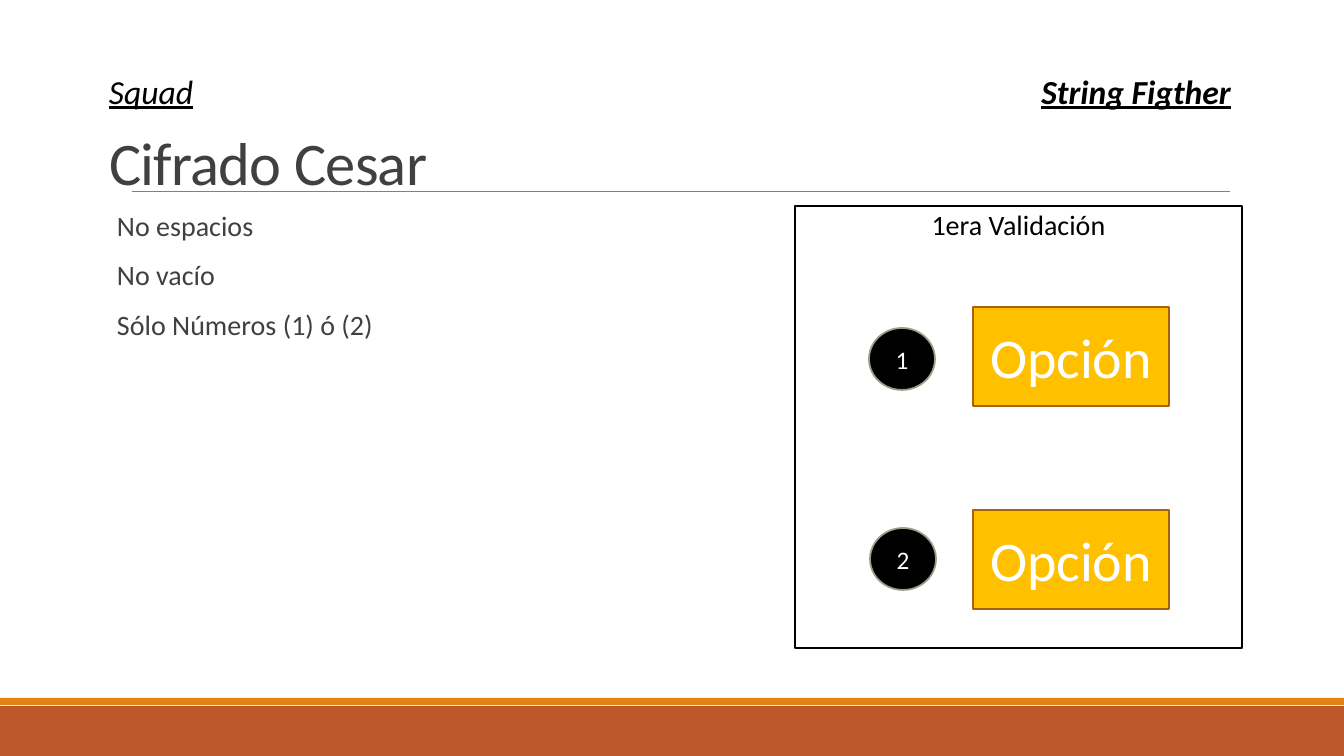
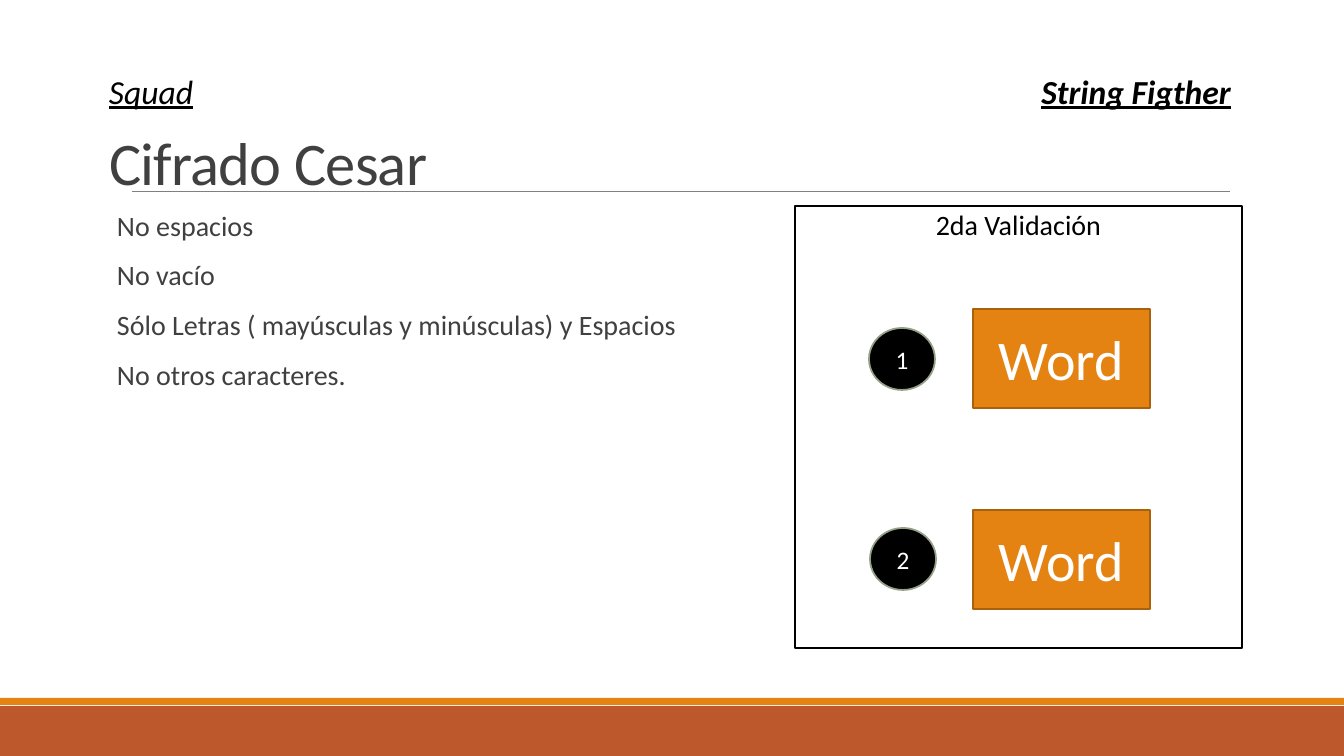
from dataclasses import dataclass

from lxml.etree import SubElement
from pptx import Presentation
from pptx.dml.color import RGBColor
from pptx.enum.shapes import MSO_CONNECTOR, MSO_SHAPE
from pptx.enum.text import MSO_ANCHOR, PP_ALIGN
from pptx.oxml.ns import qn
from pptx.util import Emu, Pt


@dataclass(frozen=True)
class Theme:
    font: str = "Calibri"
    black: str = "000000"
    white: str = "FFFFFF"
    text: str = "404040"
    rule: str = "808080"
    band: str = "BD582C"
    orange: str = "E48312"
    yellow: str = "FFC000"
    box_line: str = "A9610D"
    circle_line: str = "94A088"
    title_size: float = 43.2
    header_size: float = 24
    body_size: float = 20
    box_size: float = 40
    number_size: float = 18
    outline: float = 1.25


@dataclass(frozen=True)
class Validation:
    heading: str
    rules: tuple
    label: str
    fill: str
    width: int
    tops: tuple


THEME = Theme()
EMU_PER_PIXEL = 914400 / 100.8
SLIDE_WIDTH, SLIDE_HEIGHT = 1344, 756
CIRCLES = ((869, 328), (870, 528))
VALIDATIONS = (
    Validation(
        "1era Validación",
        ("No espacios", "No vacío", "Sólo Números (1) ó (2)"),
        "Opción", THEME.yellow, 196, (307, 510),
    ),
    Validation(
        "2da Validación",
        ("No espacios", "No vacío",
         "Sólo Letras ( mayúsculas y minúsculas) y Espacios",
         "No otros caracteres."),
        "Word", THEME.orange, 177, (309, 510),
    ),
)


def px(value):
    return Emu(round(value * EMU_PER_PIXEL))


def place(*lengths):
    return [px(length) for length in lengths]


def color(value):
    return RGBColor.from_string(value)


def format_runs(paragraph, size, ink):
    for run in paragraph.runs:
        run.font.name = THEME.font
        run.font.size = Pt(size)
        run.font.color.rgb = color(ink)


def space_body(paragraph):
    paragraph.line_spacing = 0.9
    paragraph.space_before = Pt(12)
    paragraph.space_after = Pt(2)


def add_box(slide, kind, bounds, fill, line=None):
    shape = slide.shapes.add_shape(kind, *place(*bounds))
    shape.shadow.inherit = False
    shape.fill.solid()
    shape.fill.fore_color.rgb = color(fill)
    if line:
        shape.line.color.rgb = color(line)
        shape.line.width = Pt(THEME.outline)
    else:
        shape.line.fill.background()
    return shape


def add_label(slide, kind, bounds, text, size, fill, line):
    shape = add_box(slide, kind, bounds, fill, line)
    frame = shape.text_frame
    frame.text = text
    frame.vertical_anchor = MSO_ANCHOR.MIDDLE
    paragraph = frame.paragraphs[0]
    paragraph.alignment = PP_ALIGN.CENTER
    format_runs(paragraph, size, THEME.white)


def add_text_box(slide, bounds):
    frame = slide.shapes.add_textbox(*place(*bounds)).text_frame
    frame.word_wrap = True
    return frame


def add_bands(slide):
    add_box(slide, MSO_SHAPE.RECTANGLE, (0, 706, SLIDE_WIDTH, 50), THEME.band)
    add_box(slide, MSO_SHAPE.RECTANGLE, (0, 698, SLIDE_WIDTH, 7), THEME.orange)
    rule = slide.shapes.add_connector(
        MSO_CONNECTOR.STRAIGHT, *place(132, 191, 1230, 191))
    rule.line.color.rgb = color(THEME.rule)
    rule.line.width = Pt(0.5)
    SubElement(rule.element.spPr, qn("a:effectLst"))


def set_title(slide, text):
    title = slide.shapes.title
    title.left, title.top, title.width, title.height = place(99, 120, 1159, 83)
    frame = title.text_frame
    frame.text = text
    frame.vertical_anchor = MSO_ANCHOR.BOTTOM
    paragraph = frame.paragraphs[0]
    paragraph.alignment = PP_ALIGN.LEFT
    paragraph.line_spacing = 0.85
    format_runs(paragraph, THEME.title_size, THEME.text)
    for run in paragraph.runs:
        run.font._element.set("spc", "-50")


def add_header(slide, left_text, right_text):
    frame = add_text_box(slide, (99, 36, 1153, 115))
    frame.vertical_anchor = MSO_ANCHOR.MIDDLE
    paragraph = frame.paragraphs[0]
    paragraph.line_spacing = 0.9
    for text, bold in ((left_text + "\t", False), (right_text, True)):
        run = paragraph.add_run()
        run.text = text
        run.font.bold = bold
        run.font.italic = True
        run.font.underline = True
    format_runs(paragraph, THEME.header_size, THEME.black)
    tabs = SubElement(paragraph._p.get_or_add_pPr(), qn("a:tabLst"))
    SubElement(tabs, qn("a:tab"), pos=str(px(1122)), algn="r")


def add_rules(slide, rules):
    frame = add_text_box(slide, (107, 207, 572, 280))
    frame.margin_left = frame.margin_right = 0
    frame.text = "\n".join(rules)
    for paragraph in frame.paragraphs:
        space_body(paragraph)
        paragraph._p.get_or_add_pPr().set("marL", str(px(10)))
        format_runs(paragraph, THEME.body_size, THEME.text)


def add_panel(slide, heading):
    panel = add_box(slide, MSO_SHAPE.RECTANGLE, (795, 206, 447, 442),
                    THEME.white, THEME.black)
    frame = panel.text_frame
    frame.margin_left = frame.margin_right = 0
    frame.vertical_anchor = MSO_ANCHOR.TOP
    frame.text = heading
    paragraph = frame.paragraphs[0]
    paragraph.alignment = PP_ALIGN.CENTER
    space_body(paragraph)
    format_runs(paragraph, THEME.body_size, THEME.black)


def add_choices(slide, validation):
    for number, (left, top) in enumerate(CIRCLES, 1):
        add_label(slide, MSO_SHAPE.OVAL, (left, top, 66, 62), str(number),
                  THEME.number_size, THEME.black, THEME.circle_line)
    for top in validation.tops:
        add_label(slide, MSO_SHAPE.RECTANGLE,
                  (973, top, validation.width, 99), validation.label,
                  THEME.box_size, validation.fill, THEME.box_line)


def add_validation_slide(presentation, validation):
    slide = presentation.slides.add_slide(presentation.slide_layouts[5])
    add_bands(slide)
    set_title(slide, "Cifrado Cesar")
    add_rules(slide, validation.rules)
    add_panel(slide, validation.heading)
    add_choices(slide, validation)
    add_header(slide, "Squad", "String Figther")


def main():
    presentation = Presentation()
    presentation.slide_width = px(SLIDE_WIDTH)
    presentation.slide_height = px(SLIDE_HEIGHT)
    for validation in VALIDATIONS:
        add_validation_slide(presentation, validation)
    presentation.save("out.pptx")


main()
